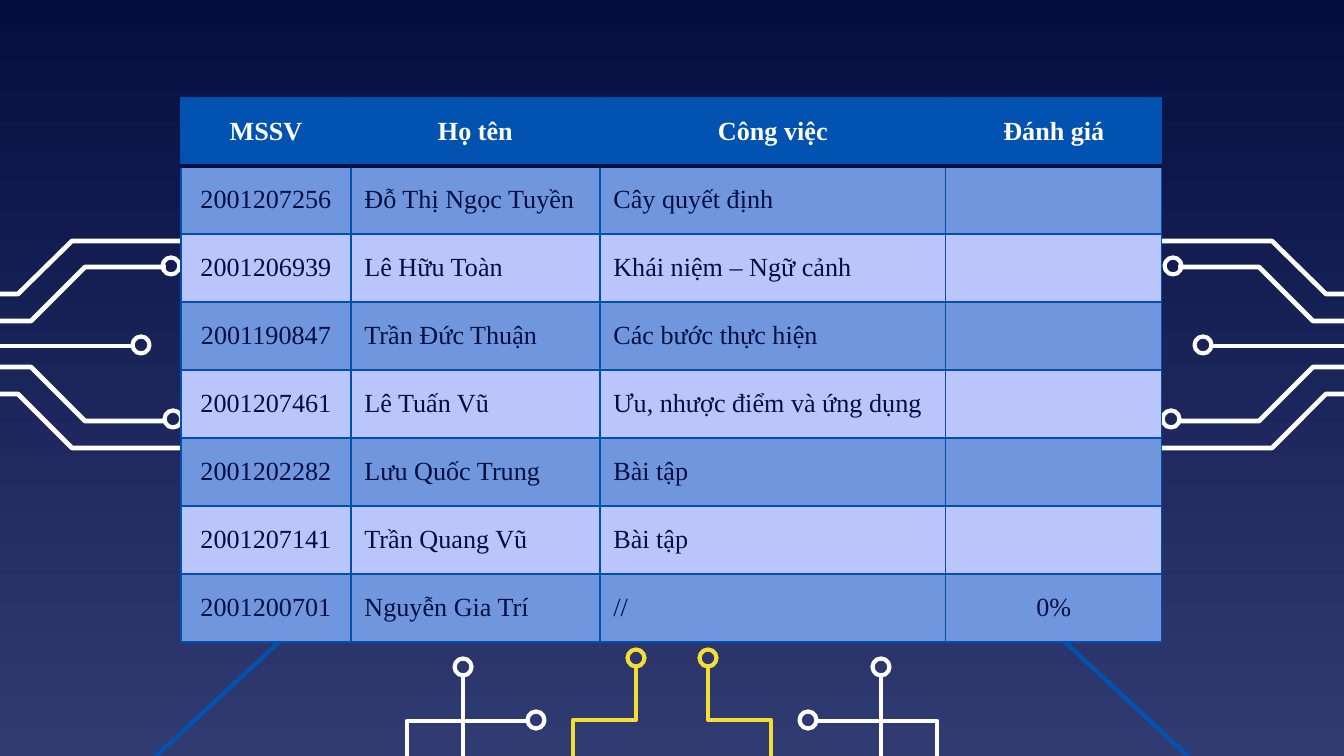
"""Build the task table slide over a mirrored circuit backdrop."""
from lxml import etree
from pptx import Presentation
from pptx import util as u
from pptx.dml.color import RGBColor
from pptx.enum import shapes, text
from pptx.oxml import ns

WHITE = RGBColor(0xFF, 0xFF, 0xFF)
NAVY = RGBColor(0x04, 0x0E, 0x41)
DUSK = RGBColor(0x30, 0x3B, 0x72)
BLUE = RGBColor(0x01, 0x52, 0xB1)
EDGE = RGBColor(0x00, 0x50, 0xAE)
GOLD = RGBColor(0xF5, 0xDE, 0x34)
MID = RGBColor(0x70, 0x97, 0xDE)
PALE = RGBColor(0xBA, 0xC5, 0xFC)

FONT = "Times New Roman"
WIDE, HIGH = 1344, 756
UNIT = 9144000 / WIDE
RING = 17

# colour, line width, ring centre, points of the left half
TRACES = [
    (WHITE, 2.5, (173, 419), [(-109, 367), (31, 367), (85, 421), (166, 421)]),
    (WHITE, 2.5, (220, 240), [(-109, 294), (18, 294), (72, 241), (215, 241)]),
    (WHITE, 2.5, (171, 266), [(-109, 321), (31, 321), (85, 267), (166, 267)]),
    (WHITE, 2.5, (141, 345), [(-82, 346), (134, 346)]),
    (WHITE, 2.5, (212, 442), [(-109, 394), (18, 394), (72, 448), (210, 448)]),
    (GOLD, 2.25, (636, 658), [(636, 665), (636, 720), (573, 720), (573, 870)]),
    (WHITE, 2.25, (536, 720), [(528, 721), (407, 721), (407, 870)]),
    (WHITE, 2.25, (463, 667), [(463, 675), (463, 774), (304, 774), (304, 870)]),
    (BLUE, 2.25, (322, 603), [(317, 607), (128, 782), (0, 782), (0, 837)]),
]

LEFT, TOP, ROW = 181, 98, 68
COLS = [170, 249, 346, 216]
ROWS = [
    ("MSSV", "Họ tên", "Công việc", "Đánh giá"),
    ("2001207256", "Đỗ Thị Ngọc Tuyền", "Cây quyết định", ""),
    ("2001206939", "Lê Hữu Toàn", "Khái niệm – Ngữ cảnh", ""),
    ("2001190847", "Trần Đức Thuận", "Các bước thực hiện", ""),
    ("2001207461", "Lê Tuấn Vũ", "Ưu, nhược điểm và ứng dụng", ""),
    ("2001202282", "Lưu Quốc Trung", "Bài tập", ""),
    ("2001207141", "Trần Quang Vũ", "Bài tập", ""),
    ("2001200701", "Nguyễn Gia Trí", "//", "0%"),
]


def px(n):
    return u.Emu(round(n * UNIT))


def style(shape, color, width):
    shape.shadow.inherit = False
    shape.fill.background()
    shape.line.color.rgb = color
    shape.line.width = u.Pt(width)


def trace(slide, color, width, ring, points, flip):
    def at(x, y):
        return px(WIDE - x if flip else x), px(y)

    first, *rest = [at(*p) for p in points]
    pen = slide.shapes.build_freeform(*first)
    pen.add_line_segments(rest, close=False)
    style(pen.convert_to_shape(), color, width)
    x, y = at(*ring)
    half = px(RING / 2)
    dot = slide.shapes.add_shape(
        shapes.MSO_SHAPE.OVAL, x - half, y - half, px(RING), px(RING))
    style(dot, color, 2.25)


def border(cell, row):
    props = cell._tc.get_or_add_tcPr()
    for i, side in enumerate("LRTB"):
        heavy = (row, side) in ((0, "B"), (1, "T"))
        line = etree.Element(ns.qn(f"a:ln{side}"), w=str(u.Pt(2 if heavy else 0.75)))
        fill = etree.SubElement(line, ns.qn("a:solidFill"))
        etree.SubElement(fill, ns.qn("a:srgbClr"), val=str(NAVY if heavy else EDGE))
        props.insert(i, line)


def write(cell, words, row, col):
    cell.fill.solid()
    cell.fill.fore_color.rgb = BLUE if row == 0 else MID if row % 2 else PALE
    border(cell, row)
    cell.vertical_anchor = text.MSO_ANCHOR.MIDDLE
    if not words:
        return
    para = cell.text_frame.paragraphs[0]
    mid = row == 0 or col in (0, 3)
    para.alignment = text.PP_ALIGN.CENTER if mid else text.PP_ALIGN.LEFT
    run = para.add_run()
    run.text = words
    run.font.name = FONT
    run.font.size = u.Pt(14)
    run.font.bold = row == 0
    run.font.color.rgb = WHITE if row == 0 else NAVY


def main():
    deck = Presentation()
    deck.slide_width, deck.slide_height = px(WIDE), px(HIGH)
    slide = deck.slides.add_slide(deck.slide_layouts[6])

    back = slide.background.fill
    back.gradient()
    back.gradient_angle = 270
    for stop, color, place in zip(back.gradient_stops, (NAVY, DUSK), (0, 1)):
        stop.color.rgb = color
        stop.position = place

    for item in TRACES:
        for flip in (False, True):
            trace(slide, *item, flip)

    table = slide.shapes.add_table(
        len(ROWS), len(COLS), px(LEFT), px(TOP),
        px(sum(COLS)), px(ROW * len(ROWS))).table
    for col, width in zip(table.columns, COLS):
        col.width = px(width)
    for r, words in enumerate(ROWS):
        table.rows[r].height = px(ROW)
        for c, word in enumerate(words):
            write(table.cell(r, c), word, r, c)

    deck.save("out.pptx")


if __name__ == "__main__":
    main()
